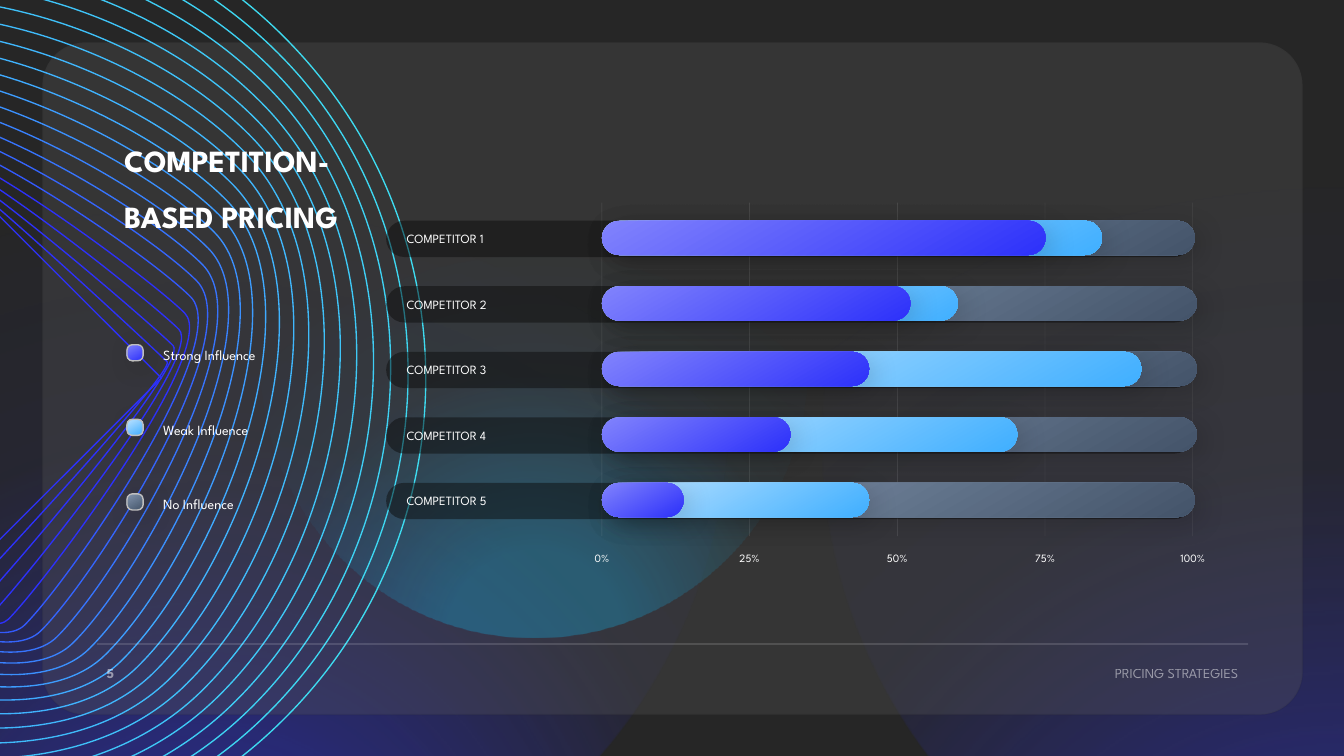
from lxml import etree
from pptx import Presentation
from pptx.dml.color import RGBColor
from pptx.enum.shapes import MSO_CONNECTOR, MSO_SHAPE as SHAPE
from pptx.enum.text import MSO_ANCHOR as ANCHOR, MSO_AUTO_SIZE as AUTO, PP_ALIGN as ALIGN
from pptx.oxml import parse_xml
from pptx.oxml.ns import nsdecls, qn
from pptx.util import Inches, Pt

FONT = "League Spartan"
WHITE = "FFFFFF"
STRONG, WEAK, NONE = ("8183FC", "2D31FA"), ("BFE4FF", "40AFFF"), ("8497B0", "44546A")
RING_COLORS = ["2D31FA"] * 5 + (
    "3359FC 3565FC 3774FD 3981FD 3B90FE 3D9CFE 3FAAFF 40B3FE 40B7FD "
    "3FBBFB 3FC1F9 3FC4F8 3FC9F6 3FCEF5 3ED2F3 3ED7F1 3EDBF0").split()
# label, start of track, weak bar length, strong bar length
COMPETITORS = [("COMPETITOR 1", 0, 4.96, 4.4),
               ("COMPETITOR 2", 0.02, 3.53, 3.06),
               ("COMPETITOR 3", 0.02, 5.35, 2.65),
               ("COMPETITOR 4", 0.02, 4.12, 1.87),
               ("COMPETITOR 5", 0, 2.65, 0.81)]
LEGEND = [("Strong Influence", STRONG), ("Weak Influence", WEAK), ("No Influence", NONE)]


def paint(fill, color, alpha=100):
    """Solid colour on a shape, line or font fill; alpha is the opacity in percent."""
    fill.solid()
    fill.fore_color.rgb = RGBColor.from_string(color)
    if alpha < 100:
        clr = fill._xPr.find(qn("a:solidFill") + "/" + qn("a:srgbClr"))
        etree.SubElement(clr, qn("a:alpha")).set("val", str(alpha * 1000))


def paint_gradient(sp, stops, direction):
    """Stops are (position, colour, opacity); direction is the XML of the gradient's course."""
    sp.fill.gradient()
    old = sp._element.spPr.find(qn("a:gradFill"))
    gs = "".join(f'<a:gs pos="{pos * 1000}"><a:srgbClr val="{color}">'
                 f'<a:alpha val="{alpha * 1000}"/></a:srgbClr></a:gs>'
                 for pos, color, alpha in stops)
    new = parse_xml(f'<a:gradFill {nsdecls("a")} rotWithShape="1">'
                    f'<a:gsLst>{gs}</a:gsLst>{direction}</a:gradFill>')
    old.getparent().replace(old, new)


def add_box(slide, kind, x, y, w, h, adj=None):
    sp = slide.shapes.add_shape(kind, Inches(x), Inches(y), Inches(w), Inches(h))
    sp.shadow.inherit = False
    sp.line.fill.background()
    if adj is not None:
        sp.adjustments[0] = adj
    return sp


def add_tile(slide, x, y, w, h, colors, adj=0.5):
    """Rounded shape with a two-colour gradient and a soft shadow."""
    sp = add_box(slide, SHAPE.ROUNDED_RECTANGLE, x, y, w, h, adj)
    paint_gradient(sp, [(0, colors[0], 100), (100, colors[1], 100)],
                   '<a:lin ang="3600000" scaled="0"/>')
    sp._element.spPr.find(qn("a:effectLst")).append(parse_xml(
        f'<a:outerShdw {nsdecls("a")} blurRad="{Pt(19)}" dist="{Pt(6)}" dir="2700000" '
        'algn="tl" rotWithShape="0"><a:srgbClr val="000000"><a:alpha val="15000"/>'
        '</a:srgbClr></a:outerShdw>'))
    return sp


def add_line(slide, x1, y1, x2, y2, width, alpha):
    ln = slide.shapes.add_connector(MSO_CONNECTOR.STRAIGHT, *map(Inches, (x1, y1, x2, y2)))
    ln.line.width = Pt(width)
    paint(ln.line.fill, WHITE, alpha)
    etree.SubElement(ln._element.spPr, qn("a:effectLst"))


def set_text(tf, text, size, align=ALIGN.LEFT, alpha=100, bold=False):
    tf.text = text
    p = tf.paragraphs[0]
    p.alignment = align
    p.font.name, p.font.size, p.font.bold = FONT, Pt(size), bold
    paint(p.font.fill, WHITE, alpha)
    return p


def add_label(slide, x, y, w, h, text, size, anchor=ANCHOR.TOP, **style):
    tf = slide.shapes.add_textbox(*map(Inches, (x, y, w, h))).text_frame
    tf.word_wrap, tf.auto_size, tf.vertical_anchor = False, AUTO.SHAPE_TO_FIT_TEXT, anchor
    set_text(tf, text, size, **style)


def add_backdrop(slide):
    paint(slide.background.fill, "262626")
    for x, y, d, color, turn in [(-3.13, -1.08, 10.35, "2D31FA", 0),
                                 (2.58, 0.89, 5.43, "00B0F0", 0),
                                 (8.16, -0.8, 10.34, "2D31FA", 195)]:
        glow = add_box(slide, SHAPE.OVAL, x, y, d, d)
        glow.rotation = turn
        paint_gradient(glow, [(23, color, 40), (68, color, 5), (100, color, 0)],
                       '<a:path path="circle"><a:fillToRect l="50000" t="130000" '
                       'r="50000" b="-30000"/></a:path>')
    panel = add_box(slide, SHAPE.ROUNDED_RECTANGLE, 0.42, 0.42, 12.5, 6.67, 0.064)
    paint(panel.fill, "595959", 30)
    panel.line.width = Pt(1)
    paint(panel.line.fill, "262626", 10)


def ring_points(t):
    """Curve points about (0, 0) of an outline turning from diamond (t=0) to circle (t=1)."""
    quarter = [(2.16 + 1.22 * t, -3.38 * t),
               (2.16 + 3.09 * t, -1.51 * t),
               (5.25 * t, 2.16 - 0.64 * t)]
    points = []
    for _ in range(4):
        points += quarter
        quarter = [(-y, x) for x, y in quarter]
    return points + points[:1]


def bend(freeform):
    """Turn every three straight segments into one cubic curve."""
    lines = list(freeform._element.iter(qn("a:lnTo")))
    for i in range(0, len(lines), 3):
        curve = etree.Element(qn("a:cubicBezTo"))
        lines[i].addprevious(curve)
        for line in lines[i:i + 3]:
            curve.append(line[0])
            line.getparent().remove(line)


def add_rings(slide, cx, cy):
    group = slide.shapes.add_group_shape()
    for i, color in enumerate(RING_COLORS):
        points = [(Inches(cx + x), Inches(cy + y))
                  for x, y in ring_points(i / (len(RING_COLORS) - 1))]
        builder = group.shapes.build_freeform(*points[0])
        builder.add_line_segments(points[1:], close=True)
        ring = builder.convert_to_shape()
        bend(ring)
        ring.shadow.inherit = False
        ring.fill.background()
        ring.line.width = Pt(0.95)
        paint(ring.line.fill, color)


def add_title(slide, x, y, w, h):
    title = slide.shapes.title
    title.left, title.top, title.width, title.height = map(Inches, (x, y, w, h))
    tf = title.text_frame
    tf.word_wrap, tf.auto_size, tf.vertical_anchor = True, AUTO.SHAPE_TO_FIT_TEXT, ANCHOR.TOP
    set_text(tf, "COMPETITION-BASED PRICING", 22, bold=True).line_spacing = Pt(39.4)
    slide.shapes._spTree.append(title._element)  # bring in front of the rings


def add_bars(slide, x, y, w, h):
    """Bars from x to x + w between gridlines of height h, with names to the left."""
    for i in range(5):
        tick = x + w * i / 4
        add_line(slide, tick, y, tick, y + h, 0.25, 15)
        add_label(slide, tick - 0.24, y + h + 0.1, 0.48, 0.24, f"{25 * i}%", 8,
                  align=ALIGN.CENTER)
    for i, (name, start, weak, strong) in enumerate(COMPETITORS):
        top = y + 0.18 + 0.65 * i
        pill = add_box(slide, SHAPE.ROUNDED_RECTANGLE, x - 2.14, top, 8, 0.36, 0.5)
        paint(pill.fill, "0D0D0D", 50)
        tf = pill.text_frame
        tf.margin_left, tf.vertical_anchor = Inches(0.15), ANCHOR.MIDDLE
        set_text(tf, name, 9)
        add_tile(slide, x + start, top, 5.88, 0.34, NONE)
        add_tile(slide, x, top, weak, 0.34, WEAK)
        add_tile(slide, x, top, strong, 0.34, STRONG)


def add_legend(slide, x, y, pitch):
    for i, (text, colors) in enumerate(LEGEND):
        top = y + pitch * i
        key = add_tile(slide, x, top + 0.03, 0.16, 0.16, colors, 0.331)
        key.line.width = Pt(1)
        paint(key.line.fill, "BFBFBF")
        add_label(slide, x + 0.26, top, 1.31, 0.27, text, 10)


def add_footer(slide, x, y, w):
    add_line(slide, x, y, x + w, y, 0.5, 40)
    add_label(slide, x, y + 0.15, 0.35, 0.27, "5", 10, ANCHOR.MIDDLE, alpha=50, bold=True)
    add_label(slide, x + w - 1.57, y + 0.15, 1.57, 0.27, "PRICING STRATEGIES", 10,
              ANCHOR.MIDDLE, align=ALIGN.RIGHT, alpha=50)


def main():
    prs = Presentation()
    prs.slide_width, prs.slide_height = Inches(13.33), Inches(7.5)
    slide = prs.slides.add_slide(prs.slide_layouts[5])
    add_backdrop(slide)
    add_rings(slide, -0.56, 3.75)
    add_bars(slide, 5.97, 2.01, 5.86, 3.31)
    add_title(slide, 1.13, 1.18, 2.99, 1.13)
    add_legend(slide, 1.26, 3.39, 0.74)
    add_footer(slide, 0.96, 6.39, 11.42)
    prs.save("out.pptx")


if __name__ == "__main__":
    main()
